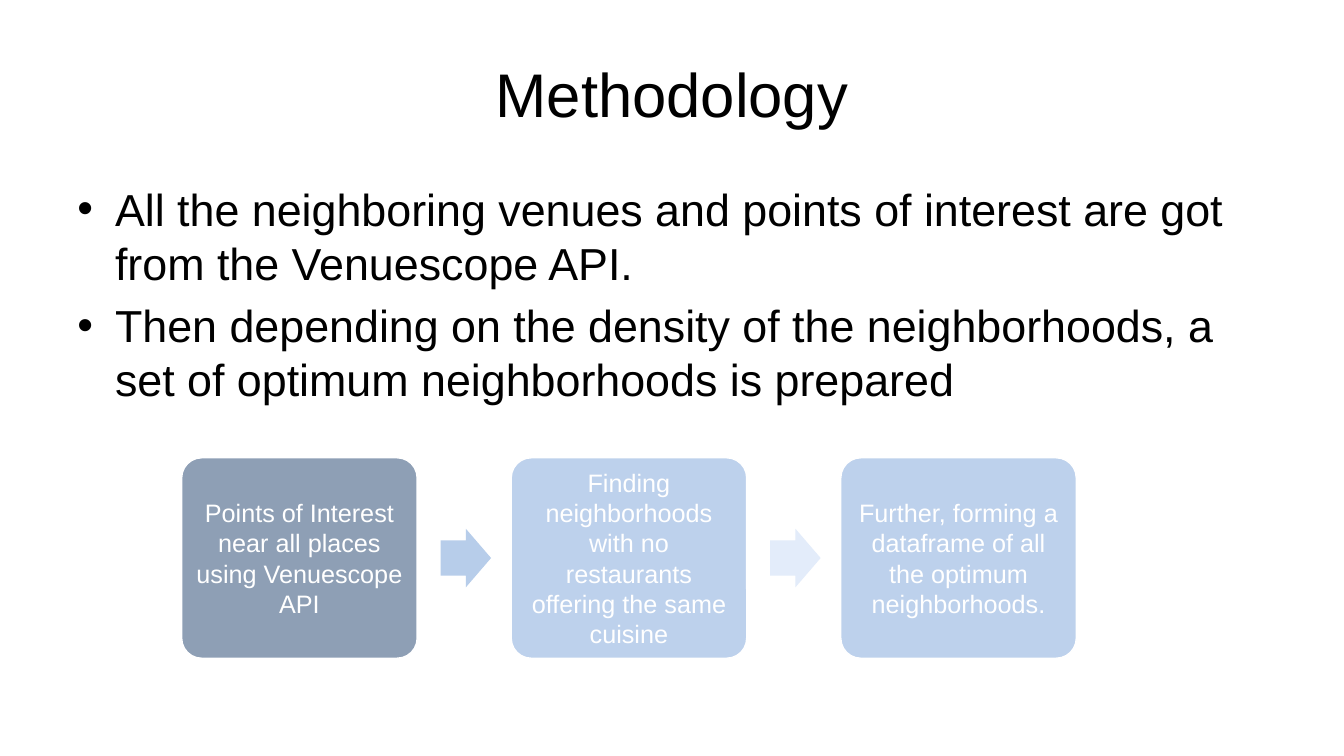
import pptx
import pptx.dml.color
import pptx.enum.shapes
import pptx.enum.text
import pptx.util

Pt = pptx.util.Pt
MSO_SHAPE = pptx.enum.shapes.MSO_SHAPE
ALIGN = pptx.enum.text.PP_ALIGN
MIDDLE = pptx.enum.text.MSO_ANCHOR.MIDDLE


def rgb(hex_string):
    return pptx.dml.color.RGBColor.from_string(hex_string)


class MethodologySlide:
    """Holds the style and the current slide."""

    font = "Arial"
    ink = "000000"
    white = "FFFFFF"

    def __init__(self, deck):
        self.slide = deck.slides.add_slide(deck.slide_layouts[1])

    def set_text(self, frame, paragraphs, *, size, color, align=None, before=None):
        """Put one paragraph per string into a text frame."""
        frame.word_wrap = True
        frame.auto_size = pptx.enum.text.MSO_AUTO_SIZE.NONE
        for index, words in enumerate(paragraphs):
            paragraph = frame.add_paragraph() if index else frame.paragraphs[0]
            paragraph.alignment = align
            if before is not None:
                paragraph.space_before = Pt(before)
            run = paragraph.add_run()
            run.text = words
            run.font.name = self.font
            run.font.size = Pt(size)
            run.font.color.rgb = rgb(color)

    def place(self, holder, left, top, width, height):
        holder.left, holder.top = Pt(left), Pt(top)
        holder.width, holder.height = Pt(width), Pt(height)

    def title(self, heading, *box):
        holder = self.slide.shapes.title
        self.place(holder, *box)
        holder.text_frame.vertical_anchor = MIDDLE
        self.set_text(holder.text_frame, [heading], size=44, color=self.ink,
                      align=ALIGN.CENTER)

    def bullets(self, points, *box):
        holder = self.slide.placeholders[1]
        self.place(holder, *box)
        self.set_text(holder.text_frame, points, size=32, color=self.ink,
                      before=6.4)

    def filled(self, kind, box, fill, adjustments):
        """Add a preset shape with a plain fill and no outline or shadow."""
        figure = self.slide.shapes.add_shape(kind, *map(Pt, box))
        figure.shadow.inherit = False
        figure.fill.solid()
        figure.fill.fore_color.rgb = rgb(fill)
        figure.line.fill.background()
        for index, value in enumerate(adjustments):
            figure.adjustments[index] = value
        return figure

    def step(self, words, fill, *box):
        card = self.filled(MSO_SHAPE.ROUNDED_RECTANGLE, box, fill, [0.1])
        card.line.color.rgb = rgb(self.white)
        card.line.width = Pt(1)
        frame = card.text_frame
        frame.margin_left = frame.margin_right = Pt(5)
        frame.margin_top = frame.margin_bottom = Pt(5)
        frame.vertical_anchor = MIDDLE
        self.set_text(frame, [words], size=18, color=self.white,
                      align=ALIGN.CENTER)

    def arrow(self, fill, *box):
        self.filled(MSO_SHAPE.RIGHT_ARROW, box, fill, [0.6, 0.5])


def main():
    deck = pptx.Presentation()
    deck.slide_width, deck.slide_height = Pt(960), Pt(540)
    page = MethodologySlide(deck)

    page.title("Methodology", 48, 21.6, 864, 90)
    page.bullets([
        "All the neighboring venues and points of interest are got from the "
        "Venuescope API.",
        "Then depending on the density of the neighborhoods, a set of optimum "
        "neighborhoods is prepared",
    ], 48, 126, 864, 356.4)

    steps = [
        ("Points of Interest near all places using Venuescope API",
         "8E9FB5", "B7CDEA"),
        ("Finding neighborhoods with no restaurants offering the same cuisine",
         "BDD1EC", "E3ECFA"),
        ("Further, forming a dataframe of all the optimum neighborhoods.",
         "BDD1EC", None),
    ]
    first_left, pitch, top, width, height = 129.8, 235.4, 327, 168.2, 143.2
    arrow_width, arrow_height, arrow_gap = 36, 41.8, 16.8
    for index, (words, fill, arrow_fill) in enumerate(steps):
        left = first_left + index * pitch
        page.step(words, fill, left, top, width, height)
        if arrow_fill:
            page.arrow(arrow_fill, left + width + arrow_gap,
                       top + (height - arrow_height) / 2,
                       arrow_width, arrow_height)

    deck.save("out.pptx")


if __name__ == "__main__":
    main()
